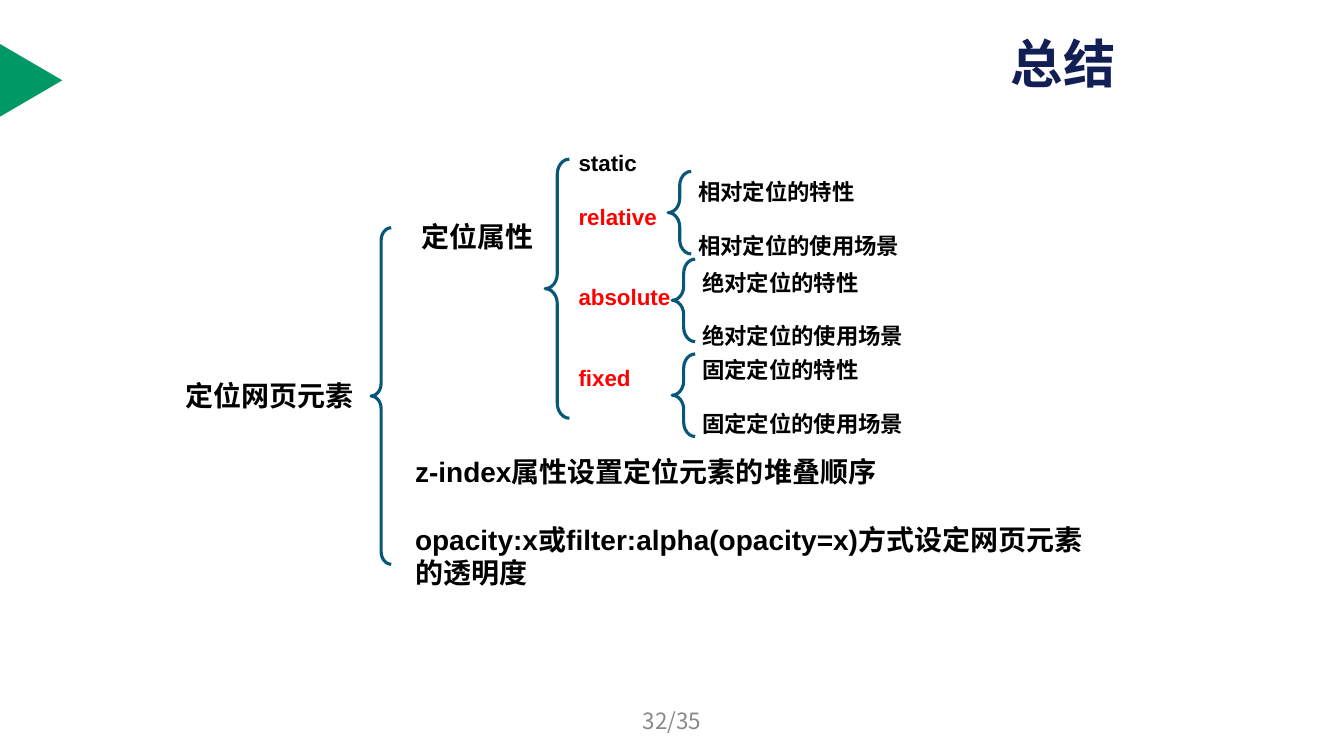
from dataclasses import dataclass

import pptx
import pptx.dml.color
import pptx.enum.shapes
import pptx.enum.text
import pptx.oxml.ns
import pptx.util
from pptx.util import Cm

Shape = pptx.enum.shapes.MSO_SHAPE
Align = pptx.enum.text.PP_ALIGN
Anchor = pptx.enum.text.MSO_ANCHOR

CJK_FONT = "Noto Sans CJK SC"
BLACK, RED, NAVY, GREY = "000000", "FF0000", "121F55", "898989"
GREEN, TEAL = "009966", "08577A"
LINE_PITCH = 1.2  # line height as a multiple of the font size


@dataclass
class Line:
    text: str
    gap: int = 0  # empty lines above
    color: str = BLACK


@dataclass
class Label:
    left: float
    top: float
    width: float
    height: float
    size: float
    lines: list[Line]
    align: Align = Align.LEFT


@dataclass
class Brace:
    left: float
    top: float
    width: float
    height: float


@dataclass
class Scheme:
    name: str
    brace_left: float
    brace_top: float
    text_left: float
    text_top: float


LABELS = [
    Label(10.21, 5.41, 17.73, 9.65, 20, [
        Line(" 定位属性"),
        Line("z-index属性设置定位元素的堆叠顺序", 6),
        Line("opacity:x或filter:alpha(opacity=x)方式设定网页元素的透明度", 1),
    ]),
    Label(14.33, 3.63, 3.0, 7.09, 16, [
        Line("static"),
        Line("relative", 1, RED),
        Line("absolute", 2, RED),
        Line("fixed", 2, RED),
    ]),
    Label(4.24, 9.42, 5.11, 1.12, 20, [Line("定位网页元素")], Align.CENTER),
]
BRACES = [Brace(13.74, 4.01, 0.61, 6.53), Brace(9.35, 5.74, 0.51, 8.48)]
SCHEMES = [
    Scheme("相对定位", 16.84, 4.32, 17.35, 4.37),
    Scheme("绝对定位", 16.94, 6.53, 17.45, 6.65),
    Scheme("固定定位", 16.94, 8.92, 17.45, 8.86),
]


def rgb(code: str) -> pptx.dml.color.RGBColor:
    return pptx.dml.color.RGBColor.from_string(code)


def format_text(para, size: float, color: str, latin: str, bold: bool = True) -> None:
    for span in para.runs:
        span.font.size = pptx.util.Pt(size)
        span.font.bold = bold
        span.font.color.rgb = rgb(color)
        span.font.name = latin
        east_asian = pptx.oxml.parse_xml(
            f'<a:ea {pptx.oxml.ns.nsdecls("a")} typeface="{CJK_FONT}"/>')
        span.font._element.find(pptx.oxml.ns.qn("a:latin")).addnext(east_asian)


def add_label(page, label: Label) -> None:
    box = page.shapes.add_textbox(
        Cm(label.left), Cm(label.top), Cm(label.width), Cm(label.height))
    frame = box.text_frame
    frame.word_wrap = True
    pitch = label.size * LINE_PITCH
    frame.text = "\n".join(line.text for line in label.lines)
    for para, line in zip(frame.paragraphs, label.lines):
        para.alignment = label.align
        para.line_spacing = pptx.util.Pt(pitch)
        if line.gap:
            para.space_before = pptx.util.Pt(line.gap * pitch)
        format_text(para, label.size, line.color, "Arial")


def add_brace(page, brace: Brace) -> None:
    shape = page.shapes.add_shape(
        Shape.LEFT_BRACE,
        Cm(brace.left), Cm(brace.top), Cm(brace.width), Cm(brace.height))
    shape.adjustments[0] = 0.62
    shape.shadow.inherit = False
    shape.fill.background()
    shape.line.color.rgb = rgb(TEAL)
    shape.line.width = pptx.util.Pt(2.25)


def add_scheme(page, scheme: Scheme) -> None:
    add_brace(page, Brace(scheme.brace_left, scheme.brace_top, 0.58, 2.08))
    add_label(page, Label(scheme.text_left, scheme.text_top, 5.99, 2.31, 16, [
        Line(f"{scheme.name}的特性"),
        Line(f"{scheme.name}的使用场景", 1),
    ]))


def add_marker(page) -> None:
    marker = page.shapes.add_shape(
        Shape.ISOSCELES_TRIANGLE, Cm(-0.13), Cm(1.24), Cm(1.83), Cm(1.57))
    marker.rotation = 90
    marker.shadow.inherit = False
    marker.fill.solid()
    marker.fill.fore_color.rgb = rgb(GREEN)
    marker.line.fill.background()


def set_title(page) -> None:
    title = page.shapes.title
    title.left, title.top = Cm(25.22), Cm(0.76)
    title.width, title.height = Cm(3.81), Cm(1.63)
    frame = title.text_frame
    frame.text = "总结"
    frame.vertical_anchor = Anchor.MIDDLE
    para = frame.paragraphs[0]
    para.alignment = Align.LEFT
    format_text(para, 37.4, NAVY, CJK_FONT)


def add_page_number(page) -> None:
    box = page.shapes.add_textbox(Cm(11.58), Cm(17.65), Cm(10.72), Cm(1.02))
    frame = box.text_frame
    frame.word_wrap = True
    frame.vertical_anchor = Anchor.MIDDLE
    frame.text = "32/35"
    para = frame.paragraphs[0]
    para.alignment = Align.CENTER
    format_text(para, 16, GREY, CJK_FONT, bold=False)


def main() -> None:
    deck = pptx.Presentation()
    deck.slide_width, deck.slide_height = Cm(33.87), Cm(19.05)
    page = deck.slides.add_slide(deck.slide_layouts[5])

    # Heading and corner marker
    add_marker(page)
    set_title(page)

    # Outline tree
    for label in LABELS:
        add_label(page, label)
    for brace in BRACES:
        add_brace(page, brace)
    for scheme in SCHEMES:
        add_scheme(page, scheme)

    # Footer
    add_page_number(page)
    deck.save("out.pptx")


if __name__ == "__main__":
    main()
